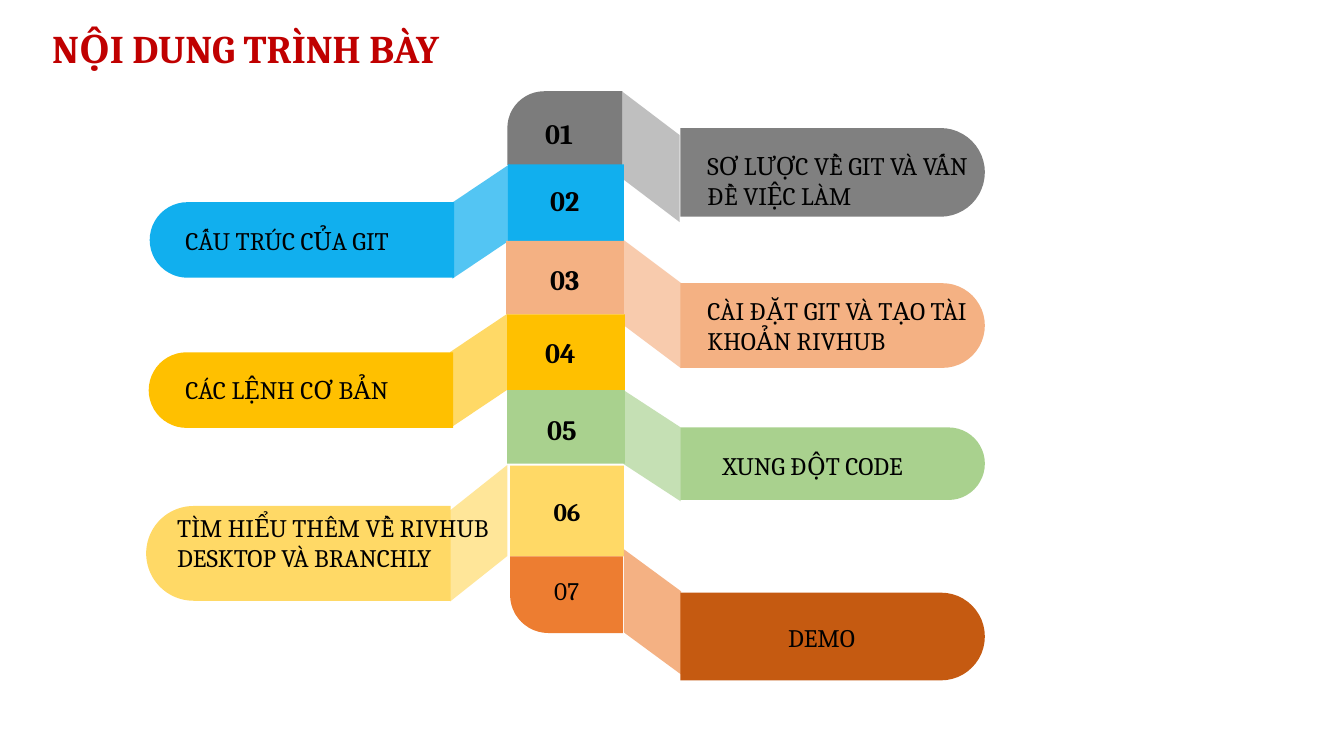
"""Build the agenda slide: a numbered spine with ribbons leading to rounded topics."""
from dataclasses import dataclass
from typing import Optional

from pptx import Presentation
from pptx.dml.color import RGBColor
from pptx.enum.shapes import MSO_SHAPE
from pptx.enum.text import MSO_ANCHOR, MSO_AUTO_SIZE, PP_ALIGN
from pptx.util import Inches, Pt

RECTANGLE = MSO_SHAPE.RECTANGLE
ONE_ROUND_CORNER = MSO_SHAPE.ROUND_1_RECTANGLE
ROUND_END = MSO_SHAPE.ROUND_2_SAME_RECTANGLE
MIDDLE = MSO_ANCHOR.MIDDLE
CENTER = PP_ALIGN.CENTER
FIT_TEXT = MSO_AUTO_SIZE.SHAPE_TO_FIT_TEXT

SLIDE_WIDTH, SLIDE_HEIGHT = Inches(13.33), Inches(7.5)
COLUMN, ROW = SLIDE_WIDTH / 160, SLIDE_HEIGHT / 90
RIBBON_COLUMNS = 6.8
TOPIC_COLUMNS = 36.24
FONT = "Cambria"

COLORS = {
    "title": "C00000", "text": "000000",
    "gray": "808080", "dark gray": "7C7C7C", "light gray": "BFBFBF",
    "blue": "11AFEE", "light blue": "53C5F3",
    "peach": "F4B183", "light peach": "F8CBAD",
    "gold": "FFC000", "yellow": "FFD966", "light yellow": "FFE699",
    "green": "A9D18E", "light green": "C5E0B4",
    "orange": "ED7D31", "brown": "C55A11",
}


@dataclass(frozen=True)
class Area:
    """Rectangle measured in grid columns and rows."""
    left: float
    top: float
    width: float
    height: float


@dataclass(frozen=True)
class Ribbon:
    """Slanted band from the spine out to a topic."""
    inner: float
    inner_top: float
    outer_top: float
    height: float
    color: str


@dataclass(frozen=True)
class Topic:
    """Rounded bar with its label area."""
    left: float
    top: float
    height: float
    color: str
    label: str
    label_area: Area


@dataclass(frozen=True)
class Step:
    """One agenda entry; without a number area the number sits centred in the block."""
    number: str
    block: Area
    color: str
    number_area: Optional[Area]
    ribbon: Ribbon
    topic: Topic
    to_right: bool
    corner_turn: Optional[int] = None
    number_size: int = 20
    number_bold: bool = True


def number_area(left: float, top: float) -> Area:
    """Return the usual area of a step number."""
    return Area(left, top, 9.24, 5.28)


STEPS = [
    Step("01", Area(60.4, 10.86, 13.7, 8.76), "dark gray", number_area(63.72, 13.32),
         Ribbon(74.1, 10.92, 16.08, 10.36, "light gray"),
         Topic(81, 15.24, 10.56, "gray", "SƠ LƯỢC VỀ GIT VÀ VẤN ĐỀ VIỆC LÀM",
               Area(83.04, 17.28, 34.2, 8.52)), True, corner_turn=270),
    Step("02", Area(60.48, 19.56, 13.8, 9.12), "blue", number_area(64.32, 21.24),
         Ribbon(60.65, 19.56, 24.12, 9.06, "light blue"),
         Topic(17.82, 24.06, 9, "blue", "CẤU TRÚC CỦA GIT",
               Area(20.88, 26.28, 33.48, 4.8)), False),
    Step("03", Area(60.24, 28.68, 14.04, 8.76), "peach", number_area(64.32, 30.72),
         Ribbon(74.28, 28.6, 33.7, 10.15, "light peach"),
         Topic(81, 33.72, 10.08, "peach", "CÀI ĐẶT GIT VÀ TẠO TÀI KHOẢN RIVHUB",
               Area(83.04, 34.56, 35.64, 8.52)), True),
    Step("04", Area(60.36, 37.44, 14.04, 9.12), "gold", number_area(63.72, 39.36),
         Ribbon(60.4, 37.35, 41.9, 9.05, "yellow"),
         Topic(17.7, 41.94, 9, "gold", "CÁC LỆNH CƠ BẢN",
               Area(20.88, 43.92, 32.52, 4.8)), False),
    Step("05", Area(60.36, 46.44, 14.04, 8.76), "green", number_area(63.96, 48.48),
         Ribbon(74.22, 46.44, 50.88, 8.8, "light green"),
         Topic(81, 50.88, 8.64, "green", "XUNG ĐỘT CODE",
               Area(84.84, 53.04, 31.08, 4.8)), True),
    Step("06", Area(60.72, 55.44, 13.56, 10.8), "yellow", None,
         Ribbon(60.4, 55.35, 60.75, 10.85, "light yellow"),
         Topic(17.4, 60.24, 11.28, "yellow", "TÌM HIỂU THÊM VỀ RIVHUB DESKTOP VÀ BRANCHLY",
               Area(19.92, 60.36, 40.2, 12.12)), False, number_size=18),
    Step("07", Area(60.72, 66.24, 13.44, 9.12), "orange", Area(64.8, 67.92, 12.36, 4.8),
         Ribbon(74.28, 65.4, 70.4, 9.9, "peach"),
         Topic(81, 70.56, 10.44, "brown", "DEMO",
               Area(92.64, 73.44, 31.08, 4.8)), True,
         corner_turn=180, number_size=18, number_bold=False),
]


def paint(shape, color: str) -> None:
    """Give a shape a flat fill without line or shadow."""
    shape.shadow.inherit = False
    shape.fill.solid()
    shape.fill.fore_color.rgb = RGBColor.from_string(COLORS[color])
    shape.line.fill.background()


def write(frame, text: str, size: int, bold: bool = False, color: str = "text") -> None:
    """Fill a text frame with one formatted paragraph."""
    frame.word_wrap = True
    frame.text = text
    font = frame.paragraphs[0].runs[0].font
    font.name, font.size, font.bold = FONT, Pt(size), bold
    font.color.rgb = RGBColor.from_string(COLORS[color])


def add_text(slide, area: Area, text: str, size: int, bold: bool = False,
             color: str = "text") -> None:
    """Add a text box on the grid."""
    frame = slide.shapes.add_textbox(
        round(area.left * COLUMN), round(area.top * ROW),
        round(area.width * COLUMN), round(area.height * ROW)).text_frame
    write(frame, text, size, bold, color)
    frame.auto_size = FIT_TEXT


def add_turned(slide, kind, area: Area, color: str, turn: int = 0):
    """Add a shape that covers the area after being turned."""
    width, height = area.width * COLUMN, area.height * ROW
    center_x = area.left * COLUMN + width / 2
    center_y = area.top * ROW + height / 2
    if turn in (90, 270):
        width, height = height, width
    shape = slide.shapes.add_shape(
        kind, round(center_x - width / 2), round(center_y - height / 2),
        round(width), round(height))
    shape.rotation = turn
    if kind != RECTANGLE:
        shape.adjustments[0] = 0.5
    paint(shape, color)
    return shape


def add_ribbon(slide, ribbon: Ribbon, to_right: bool) -> None:
    """Add the slanted band of a step."""
    outer = ribbon.inner + (RIBBON_COLUMNS if to_right else -RIBBON_COLUMNS)
    corners = [(ribbon.inner, ribbon.inner_top), (outer, ribbon.outer_top),
               (outer, ribbon.outer_top + ribbon.height),
               (ribbon.inner, ribbon.inner_top + ribbon.height)]
    points = [(round(x * COLUMN), round(y * ROW)) for x, y in corners]
    builder = slide.shapes.build_freeform(*points[0])
    builder.add_line_segments(points[1:], close=True)
    paint(builder.convert_to_shape(), ribbon.color)


def add_step(slide, step: Step) -> None:
    """Draw ribbon, topic bar, spine block and texts of one step."""
    topic = step.topic
    add_ribbon(slide, step.ribbon, step.to_right)
    add_turned(slide, ROUND_END, Area(topic.left, topic.top, TOPIC_COLUMNS, topic.height),
               topic.color, 90 if step.to_right else 270)
    block_kind = ONE_ROUND_CORNER if step.corner_turn else RECTANGLE
    block = add_turned(slide, block_kind, step.block, step.color, step.corner_turn or 0)
    if step.number_area:
        add_text(slide, step.number_area, step.number, step.number_size, step.number_bold)
    else:
        write(block.text_frame, step.number, step.number_size, step.number_bold)
        block.text_frame.vertical_anchor = MIDDLE
        block.text_frame.paragraphs[0].alignment = CENTER
    add_text(slide, topic.label_area, topic.label, 18)


def main() -> None:
    """Build and save the deck."""
    deck = Presentation()
    deck.slide_width, deck.slide_height = SLIDE_WIDTH, SLIDE_HEIGHT
    slide = deck.slides.add_slide(deck.slide_layouts[6])
    add_text(slide, Area(5.04, 2.28, 90.24, 6.84), "NỘI DUNG TRÌNH BÀY", 28, True, "title")
    for step in STEPS:
        add_step(slide, step)
    deck.save("out.pptx")


if __name__ == "__main__":
    main()
